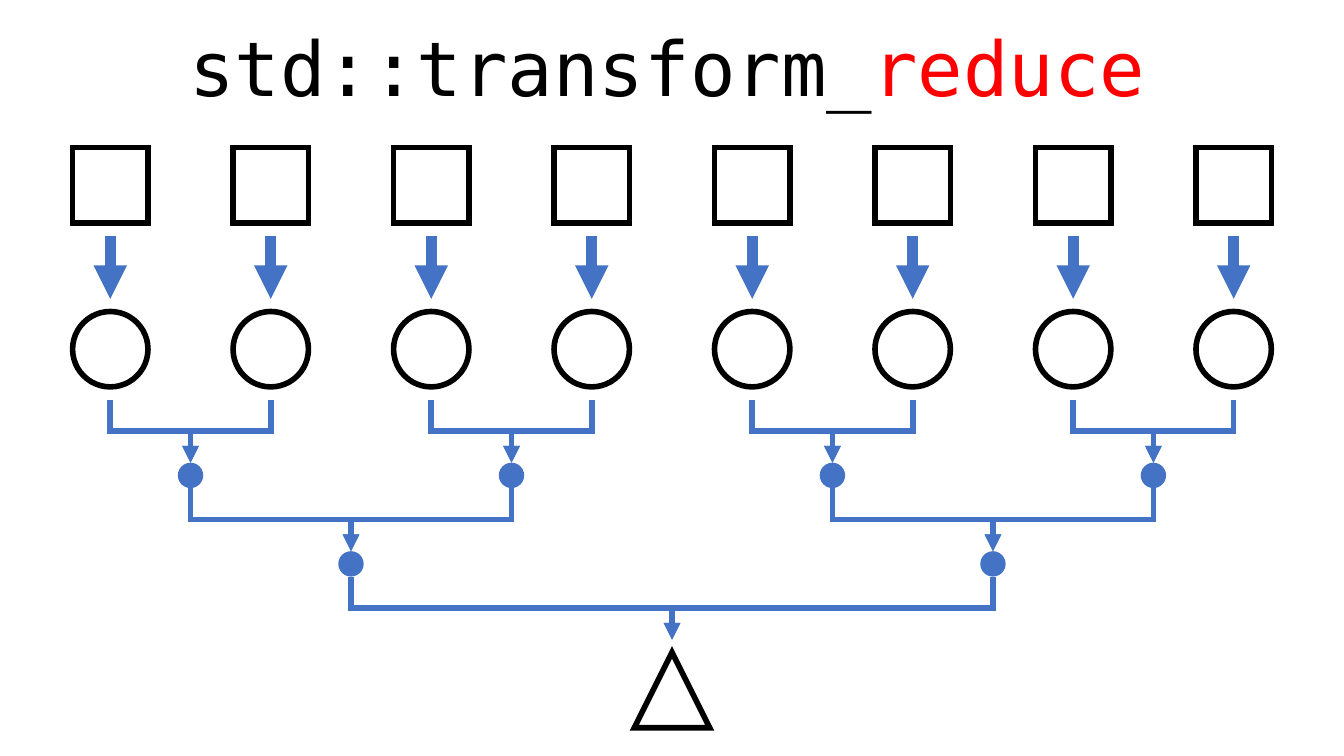
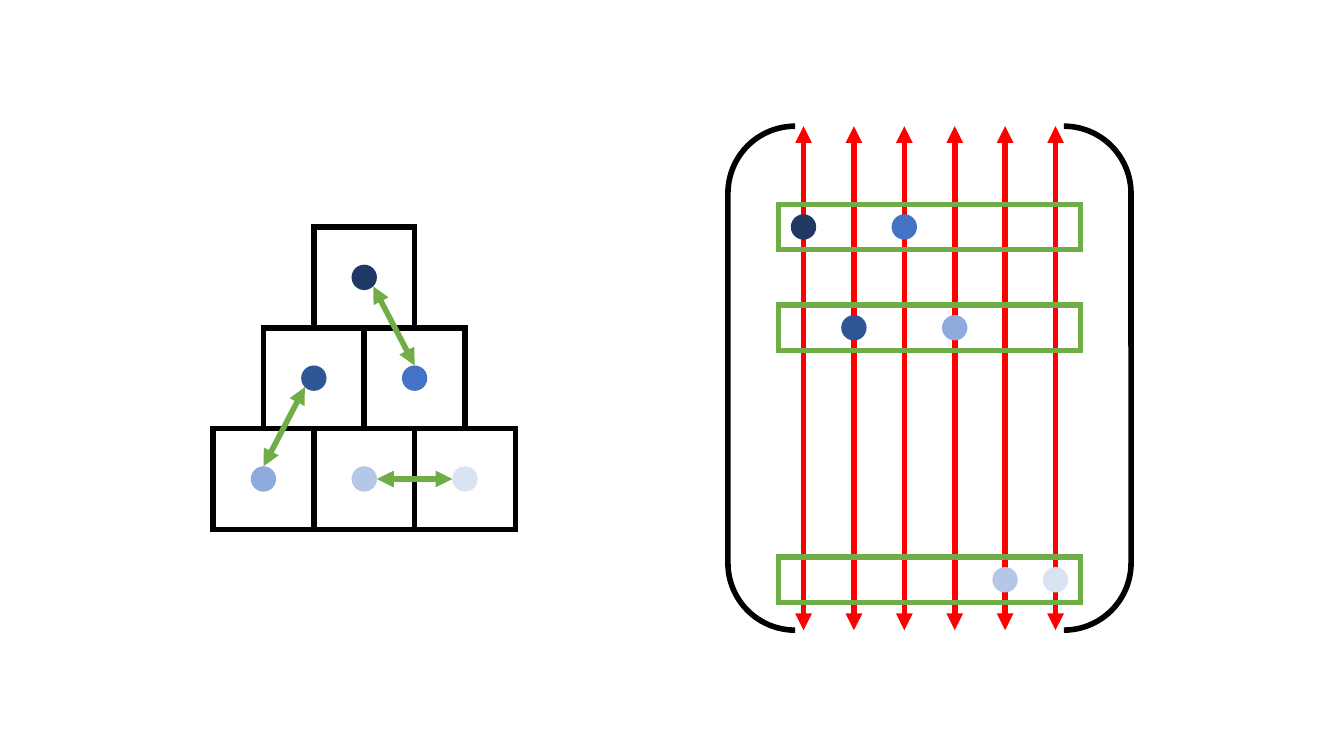
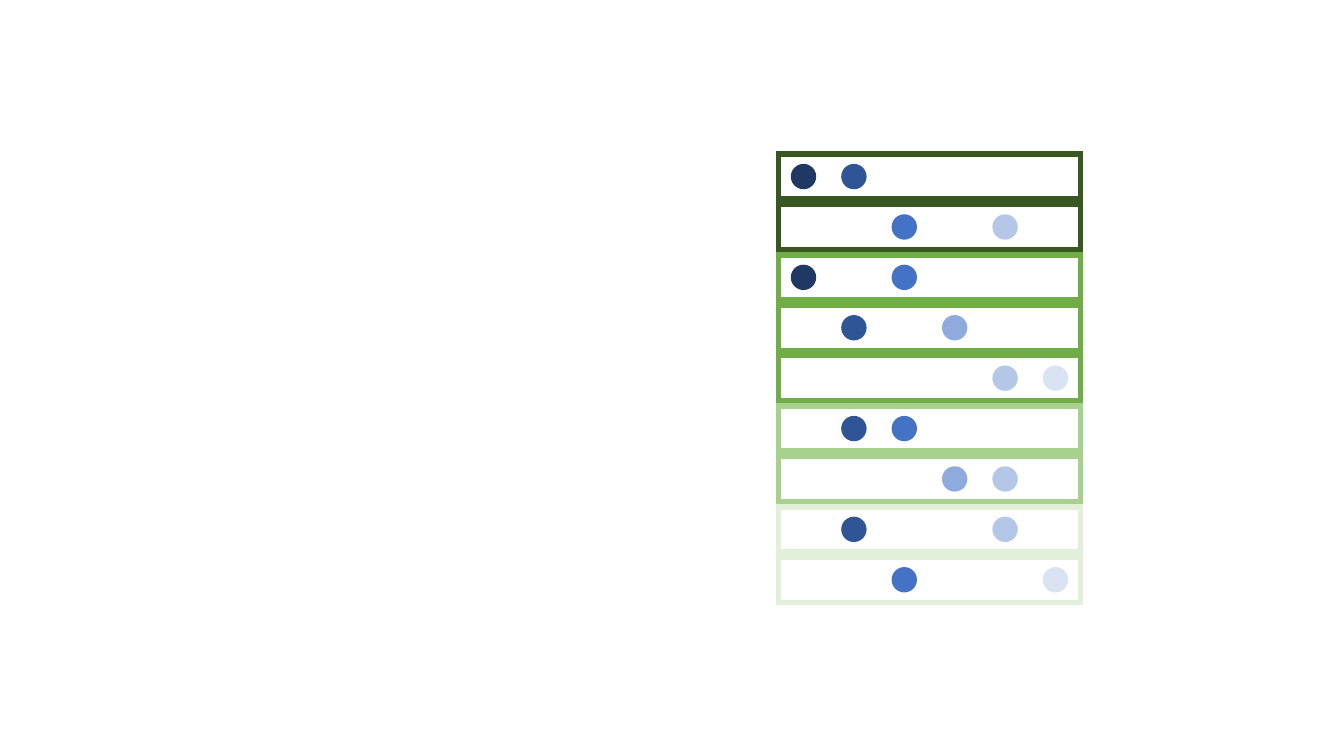
from dataclasses import dataclass
from math import cos, radians, sin

from lxml import etree
from pptx import Presentation
from pptx import util as u
from pptx.dml.color import RGBColor
from pptx.enum import shapes, text
from pptx.oxml.ns import qn

Cm = u.Cm
Kind = shapes.MSO_SHAPE
Link = shapes.MSO_CONNECTOR


@dataclass(frozen=True)
class Theme:
    font: str = "DejaVu Sans Mono"
    title_size: int = 54
    line: int = 4
    thick_line: int = 8
    ink: str = "000000"
    accent: str = "FF0000"
    flow: str = "4472C4"
    pair: str = "70AD47"
    blues: tuple = ("203864", "2F5597", "4472C4", "8FAADC", "B4C7E7", "DAE3F3")
    greens: tuple = ("385723", "70AD47", "A9D18E", "E2F0D9")


THEME = Theme()

# Lengths in centimetres
SLIDE_WIDTH, SLIDE_HEIGHT = 33.87, 19.05
DOT = 0.64
ITEM = 1.9
CELL = 2.54
TRACK_GAP = CELL / 2
TRACK_LEFT = 20.25
STRIP_TOP = 4.45
STRIP_CENTRE = TRACK_LEFT + 2.5 * TRACK_GAP


def style_line(line, colour, width, **ends):
    """Set colour, width, sharp corners and the arrowheads named in ends."""
    line.color.rgb = RGBColor.from_string(colour)
    line.width = u.Pt(width)
    outline = line._get_or_add_ln()
    etree.SubElement(outline, qn("a:miter"), lim="800000")
    for end in ("headEnd", "tailEnd"):
        if end in ends:
            etree.SubElement(outline, qn(f"a:{end}"), type=ends[end])


def add_shape(page, kind, centre, width, height, fill=None, line=None):
    x, y = centre
    shape = page.shapes.add_shape(
        kind, Cm(x - width / 2), Cm(y - height / 2), Cm(width), Cm(height))
    shape.shadow.inherit = False
    if fill:
        shape.fill.solid()
        shape.fill.fore_color.rgb = RGBColor.from_string(fill)
    else:
        shape.fill.background()
    if line:
        style_line(shape.line, line, THEME.line)
    else:
        shape.line.fill.background()
    return shape


def add_dot(page, centre, colour):
    add_shape(page, Kind.OVAL, centre, DOT, DOT, fill=colour)


def add_link(page, start, end, colour, kind=Link.STRAIGHT, width=THEME.line, both=False):
    link = page.shapes.add_connector(kind, *(Cm(value) for value in (*start, *end)))
    etree.SubElement(link.element.spPr, qn("a:effectLst"))
    ends = {"tailEnd": "triangle"}
    if both:
        ends["headEnd"] = "triangle"
    style_line(link.line, colour, width, **ends)
    return link


def add_drop(page, start, end):
    """Draw an elbow that leaves downwards: a sideways elbow, turned a quarter."""
    (x1, y1), (x2, y2) = start, end
    middle_x, middle_y = (x1 + x2) / 2, (y1 + y2) / 2
    half_run, half_drop = abs(x2 - x1) / 2, (y2 - y1) / 2
    rightwards = x2 > x1
    side = half_drop if rightwards else -half_drop
    link = add_link(page, (middle_x + side, middle_y - half_run),
                    (middle_x - side, middle_y + half_run), THEME.flow, Link.ELBOW)
    quarter_turns = 3 if rightwards else 1
    link.element.spPr.find(qn("a:xfrm")).set("rot", str(quarter_turns * 90 * 60000))


def add_text(para, words, size=THEME.title_size, colour=THEME.ink, font=THEME.font):
    span = para.add_run()
    span.text = words
    span.font.size = u.Pt(size)
    span.font.name = font
    span.font.color.rgb = RGBColor.from_string(colour)


def set_title(page, *spans):
    """Fill the title from (words, colour) pairs."""
    box = page.shapes.title
    box.left, box.top, box.width, box.height = Cm(4.52), Cm(0.41), Cm(24.82), Cm(2.57)
    frame = box.text_frame
    frame.auto_size = text.MSO_AUTO_SIZE.NONE
    frame.word_wrap = True
    frame.vertical_anchor = text.MSO_ANCHOR.TOP
    para = frame.paragraphs[0]
    para.alignment = text.PP_ALIGN.LEFT
    for words, colour in spans:
        add_text(para, words, colour=colour)


def draw_reduction(page):
    """Draw eight inputs, each transformed, then merged two by two."""
    first, last, count = 2.78, 31.09, 8
    columns = [first + (last - first) * i / (count - 1) for i in range(count)]
    for x in columns:
        add_shape(page, Kind.RECTANGLE, (x, 4.67), ITEM, ITEM, line=THEME.ink)
        add_link(page, (x, 5.95), (x, 7.53), THEME.flow, width=THEME.thick_line)
        add_shape(page, Kind.OVAL, (x, 8.8), ITEM, ITEM, line=THEME.ink)

    top, drop = 10.07, 1.59
    while len(columns) > 1:
        merged = []
        for left, right in zip(columns[::2], columns[1::2]):
            middle = (left + right) / 2
            for x in (left, right):
                add_drop(page, (x, top), (middle, top + drop))
            merged.append(middle)
        if len(merged) > 1:
            for x in merged:
                add_dot(page, (x, top + drop + DOT / 2), THEME.flow)
        else:
            add_shape(page, Kind.ISOSCELES_TRIANGLE, (merged[0], top + drop + CELL / 2),
                      ITEM, ITEM, line=THEME.ink)
        columns = merged
        top += drop + DOT


def dot_edge(centre, angle):
    """Return the point of a dot's rim, by degrees clockwise from the right."""
    x, y = centre
    return (x + DOT / 2 * cos(radians(angle)), y + DOT / 2 * sin(radians(angle)))


def draw_pyramid(page):
    centres = [(9.18 + CELL * (column - row / 2), 6.99 + CELL * row)
               for row in range(3) for column in range(row + 1)]
    for centre in centres:
        add_shape(page, Kind.RECTANGLE, centre, CELL, CELL, line=THEME.ink)
    for centre, blue in zip(centres, THEME.blues):
        add_dot(page, centre, blue)
    for start, leave, end, arrive in ((2, 270, 0, 45), (1, 135, 3, 270), (4, 0, 5, 180)):
        add_link(page, dot_edge(centres[start], leave), dot_edge(centres[end], arrive),
                 THEME.pair, both=True)


def track_x(track):
    return TRACK_LEFT + track * TRACK_GAP


def draw_tracks(page):
    top, height = 3.18, 12.7
    for track in range(len(THEME.blues)):
        x = track_x(track)
        add_link(page, (x, top), (x, top + height), THEME.accent, both=True)
    add_shape(page, Kind.DOUBLE_BRACKET, (STRIP_CENTRE, top + height / 2),
              4 * CELL, height, line=THEME.ink)


def draw_strip(page, row, tracks, colour):
    y = STRIP_TOP + row * TRACK_GAP
    for track in tracks:
        add_dot(page, (track_x(track), y), THEME.blues[track])
    add_shape(page, Kind.RECTANGLE, (STRIP_CENTRE, y), 6 * TRACK_GAP, 1.14, line=colour)


def main():
    deck = Presentation()
    deck.slide_width, deck.slide_height = Cm(SLIDE_WIDTH), Cm(SLIDE_HEIGHT)
    title_only, blank = deck.slide_layouts[5], deck.slide_layouts[6]

    page = deck.slides.add_slide(title_only)
    set_title(page, ("std::transform_", THEME.ink), ("reduce", THEME.accent))
    draw_reduction(page)

    page = deck.slides.add_slide(blank)
    draw_tracks(page)
    draw_pyramid(page)
    for row, tracks in ((1, (0, 2)), (3, (1, 3)), (8, (4, 5))):
        draw_strip(page, row, tracks, THEME.pair)

    page = deck.slides.add_slide(blank)
    batches = (
        ((0, 1), (2, 4)),
        ((0, 2), (1, 3), (4, 5)),
        ((1, 2), (3, 4)),
        ((1, 4), (2, 5)),
    )
    strips = [(tracks, green) for batch, green in zip(batches, THEME.greens)
              for tracks in batch]
    for row, (tracks, green) in enumerate(strips):
        draw_strip(page, row, tracks, green)

    deck.save("out.pptx")


if __name__ == "__main__":
    main()
